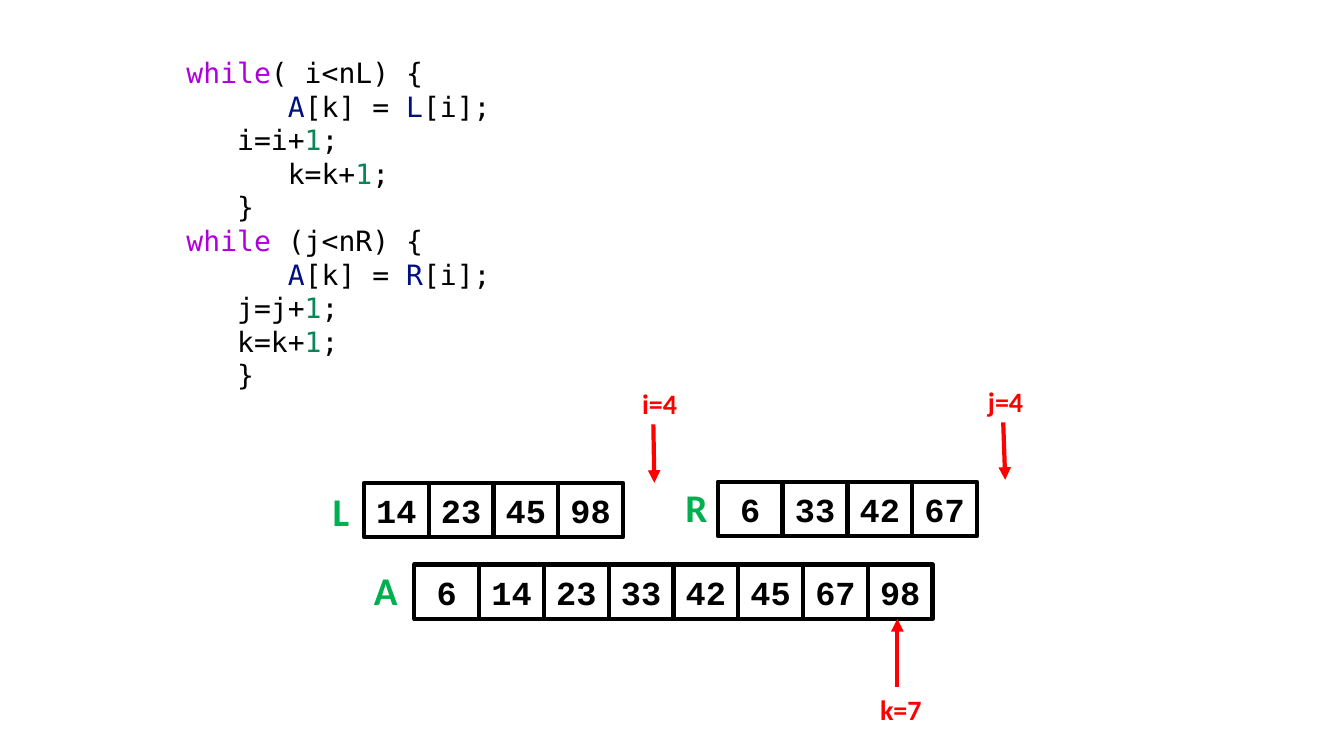
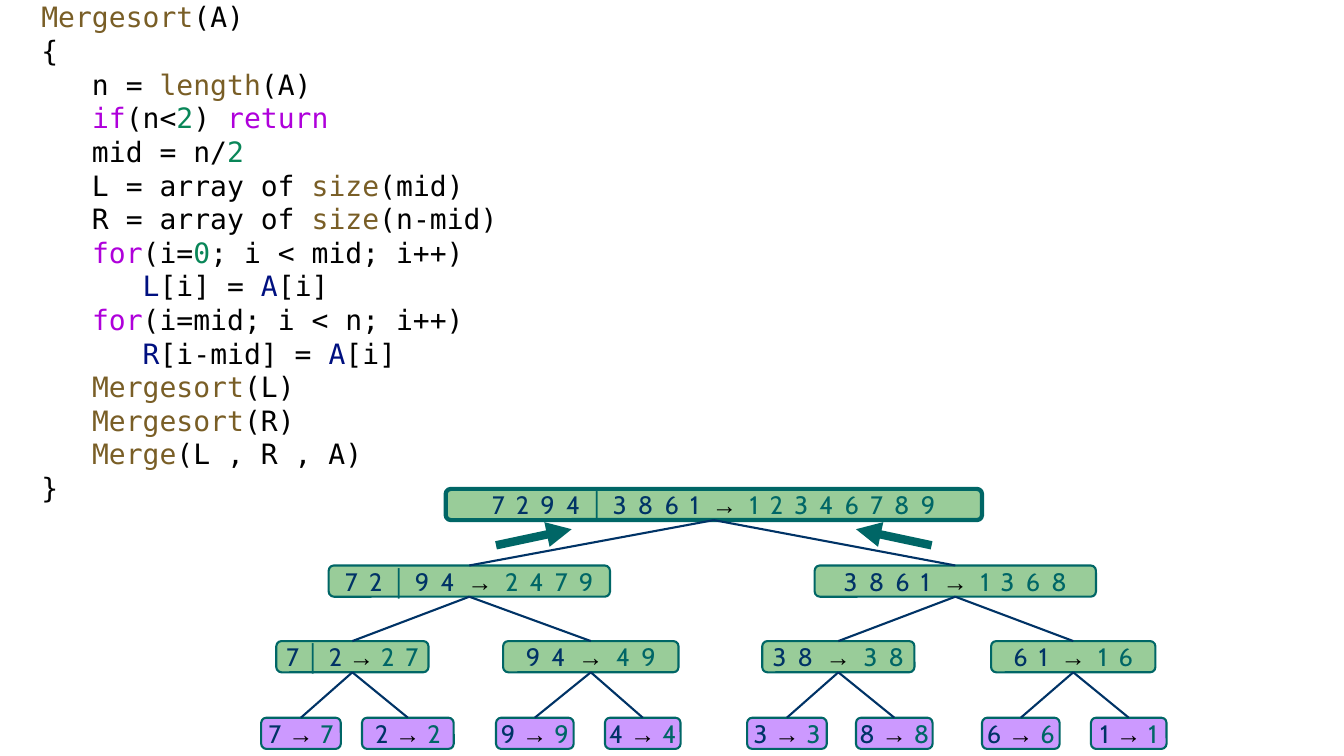
from lxml import etree
from pptx import Presentation, util as u
from pptx.dml import color
from pptx.enum import shapes, text
from pptx.oxml import ns

BLACK, RED, GREEN = "000000", "FF0000", "00B050"
NAVY, TEAL, LEAF, BRANCH = "003366", "006666", "CC99FF", "99CC99"
TOKEN_COLORS = {
    **dict.fromkeys(["while", "for", "if", "return"], "AF00DB"),
    **dict.fromkeys(["Mergesort", "Merge", "length", "size"], "795E26"),
    **dict.fromkeys(["A", "L", "R"], "001080"),
    **dict.fromkeys(["0", "1", "2"], "098658"),
}
CODE = {"name": "DejaVu Sans Mono", "size": u.Pt(20)}
CELL = {"name": "Courier New", "size": u.Pt(24), "bold": True}
INDEX = {"name": "Calibri", "size": u.Pt(20), "bold": True}
ARRAY_NAME = {"name": "Calibri", "size": u.Pt(28), "bold": True}
NUMBERS = {"name": "Cabin", "size": u.Pt(18)}
SYMBOL = {"name": "Arial", "size": u.Pt(18), "bold": True}
NO_MARGINS = {"margin_left": 0, "margin_right": 0, "margin_top": 0, "margin_bottom": 0}

CELL_WIDTH, CELL_HEIGHT = 5.14 / 8, 0.54
LABEL_WIDTH, LABEL_HEIGHT = 0.8, 0.44
NODE_HEIGHT = 0.31
WIDE_SPACING = "200"

LOOP_CODE = """`while`( i<nL) {
      `A`[k] = `L`[i];
   i=i+`1`;
      k=k+`1`;
   }
`while` (j<nR) {
      `A`[k] = `R`[i];
   j=j+`1`;
   k=k+`1`;
   }"""

MERGESORT_CODE = """`Mergesort`(A)
{
   n = `length`(A)
   `if`(n<`2`) `return`
   mid = n/`2`
   L = array of `size`(mid)
   R = array of `size`(n-mid)
   `for`(i=`0`; i < mid; i++)
      `L`[i] = `A`[i]
   `for`(i=mid; i < n; i++)
      `R`[i-mid] = `A`[i]
   `Mergesort`(L)
   `Mergesort`(R)
   `Merge`(L , R , A)
}"""

ARRAYS = [
    ("L", 3.2, 4.79, 3.61, 4.79, [14, 23, 45, 98]),
    ("R", 6.7, 4.75, 7.12, 4.78, [6, 33, 42, 67]),
    ("A", 3.61, 5.57, 4.11, 5.6, [6, 14, 23, 33, 42, 45, 67, 98]),
]
INDEXES = [
    ("i=4", 6.27, 3.79, (6.48, 4.21), (6.49, 4.79)),
    ("j=4", 9.7, 3.77, (9.95, 4.19), (9.97, 4.76)),
    ("k=7", 8.63, 6.82, (8.9, 6.82), (8.9, 6.14)),
]
TREE_LEVELS = [
    (4.85, BRANCH, 3, [(4.42, 5.32, "7 2 9 4│3 8 6 1→1 2 3 4 6 7 8 9")]),
    (5.61, BRANCH, 1.5, [(3.26, 2.79, "7 2│9 4→2 4 7 9"), (8.08, 2.79, "3 8 6 1→1 3 6 8")]),
    (6.36, BRANCH, 1.5, [
        (2.74, 1.51, "7│2→2 7"), (4.99, 1.74, "9 4→4 9"),
        (7.56, 1.51, "3 8→3 8"), (9.83, 1.63, "6 1→1 6"),
    ]),
    (7.12, LEAF, 1.5, [
        (2.59, 0.79, "7→7"), (3.59, 0.91, "2→2"), (4.92, 0.77, "9→9"), (6, 0.75, "4→4"),
        (7.41, 0.79, "3→3"), (8.49, 0.76, "8→8"), (9.74, 0.77, "6→6"), (10.82, 0.75, "1→1"),
    ]),
]
MERGE_ARROWS = [((4.92, 5.41), (5.67, 5.25)), ((9.24, 5.41), (8.49, 5.25))]


def rgb(value):
    return color.RGBColor.from_string(value)


def apply_format(target, values):
    for name, value in values.items():
        setattr(target, name, value)


def add_run(paragraph, content, font, font_color, spacing=None):
    run = paragraph.add_run()
    run.text = content
    apply_format(run.font, font)
    run.font.color.rgb = rgb(font_color)
    if spacing:
        run.font._element.set("spc", spacing)


def add_text(slide, left, top, width, height):
    box = slide.shapes.add_textbox(*map(u.Inches, (left, top, width, height)))
    box.text_frame.word_wrap = True
    return box.text_frame


def add_code(slide, left, top, width, code):
    lines = code.split("\n")
    frame = add_text(slide, left, top, width, len(lines) / 3)
    apply_format(frame, NO_MARGINS)
    for number, line in enumerate(lines):
        paragraph = frame.add_paragraph() if number else frame.paragraphs[0]
        for position, part in enumerate(line.split("`")):
            if part:
                add_run(paragraph, part, CODE, TOKEN_COLORS[part] if position % 2 else BLACK)


def add_label(slide, left, top, content, font, font_color):
    frame = add_text(slide, left, top, LABEL_WIDTH, LABEL_HEIGHT)
    add_run(frame.paragraphs[0], content, font, font_color)


def add_box(slide, kind, left, top, width, height, fill, line_color, line_width):
    shape = slide.shapes.add_shape(kind, *map(u.Inches, (left, top, width, height)))
    shape.shadow.inherit = False
    if fill:
        shape.fill.solid()
        shape.fill.fore_color.rgb = rgb(fill)
    else:
        shape.fill.background()
    shape.line.color.rgb = rgb(line_color)
    shape.line.width = u.Pt(line_width)
    apply_format(shape.text_frame, {"word_wrap": False, "vertical_anchor": text.MSO_ANCHOR.MIDDLE})
    shape.text_frame.paragraphs[0].alignment = text.PP_ALIGN.CENTER
    return shape


def add_line(slide, start, end, line_color, width, arrow=False):
    connector = slide.shapes.add_connector(
        shapes.MSO_CONNECTOR.STRAIGHT, *map(u.Inches, (*start, *end)))
    connector.line.color.rgb = rgb(line_color)
    connector.line.width = u.Pt(width)
    if arrow:
        etree.SubElement(connector.line._get_or_add_ln(), ns.qn("a:tailEnd"), type="triangle")
    etree.SubElement(connector._element.spPr, ns.qn("a:effectLst"))
    return connector


def add_array(slide, left, top, values):
    for position, value in enumerate(values):
        cell = add_box(slide, shapes.MSO_SHAPE.RECTANGLE, left + position * CELL_WIDTH, top,
                       CELL_WIDTH, CELL_HEIGHT, None, BLACK, 3)
        add_run(cell.text_frame.paragraphs[0], str(value), CELL, BLACK)


def add_numbers(paragraph, numbers, font_color):
    add_run(paragraph, numbers, NUMBERS, font_color, WIDE_SPACING if " " in numbers else None)


def add_node(slide, left, top, width, fill, line_width, label):
    node = add_box(slide, shapes.MSO_SHAPE.ROUNDED_RECTANGLE, left, top, width, NODE_HEIGHT,
                   fill, TEAL, line_width)
    paragraph = node.text_frame.paragraphs[0]
    unsorted, ordered = label.split("→")
    for position, half in enumerate(unsorted.split("│")):
        if position:
            add_run(paragraph, " │ ", SYMBOL, TEAL)
        add_numbers(paragraph, half, NAVY)
    add_run(paragraph, " → ", SYMBOL, BLACK, WIDE_SPACING if " " in unsorted else None)
    add_numbers(paragraph, ordered, TEAL)
    return node


def add_tree(slide):
    parents = []
    for top, fill, line_width, entries in TREE_LEVELS:
        nodes = [add_node(slide, left, top, width, fill, line_width, label)
                 for left, width, label in entries]
        if parents:
            for position, node in enumerate(nodes):
                branch = add_line(slide, (0, 0), (1, 1), NAVY, 1.5)
                branch.begin_connect(parents[position // 2], 2)
                branch.end_connect(node, 0)
        parents = nodes


def build_merge_slide(slide):
    for name, name_left, name_top, left, top, values in ARRAYS:
        add_array(slide, left, top, values)
        add_label(slide, name_left, name_top, name, ARRAY_NAME, GREEN)
    for label, left, top, start, end in INDEXES:
        add_line(slide, start, end, RED, 3, arrow=True)
        add_label(slide, left, top, label, INDEX, RED)
    add_code(slide, 1.85, 0.55, 4.8, LOOP_CODE)


def build_mergesort_slide(slide):
    add_code(slide, 0.41, 0, 7.28, MERGESORT_CODE)
    add_tree(slide)
    for start, end in MERGE_ARROWS:
        add_line(slide, start, end, TEAL, 6, arrow=True)


def main():
    presentation = Presentation()
    presentation.slide_width = u.Inches(13.33)
    presentation.slide_height = u.Inches(7.5)
    for build in (build_merge_slide, build_mergesort_slide):
        build(presentation.slides.add_slide(presentation.slide_layouts[6]))
    presentation.save("out.pptx")


if __name__ == "__main__":
    main()
